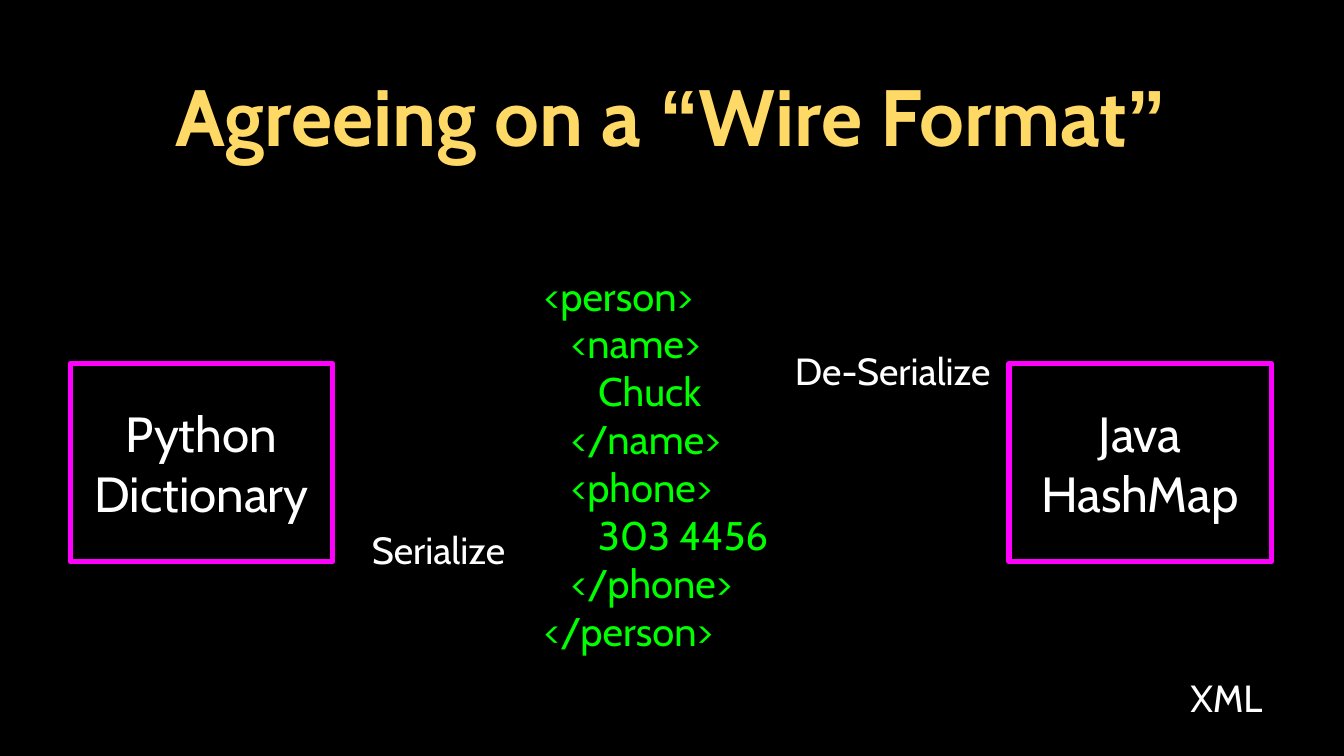
"""Build the wire format slide: a Python dictionary and a Java HashMap exchanging XML."""
from pptx import Presentation
from pptx.dml.color import RGBColor
from pptx.enum.shapes import MSO_SHAPE as SHAPE
from pptx.enum.text import MSO_ANCHOR as ANCHOR, PP_ALIGN as ALIGN
from pptx.util import Inches, Pt

BLACK = RGBColor(0x00, 0x00, 0x00)
WHITE = RGBColor(0xFF, 0xFF, 0xFF)
GOLD = RGBColor(0xFF, 0xD9, 0x66)
GREEN = RGBColor(0x00, 0xFF, 0x00)
MAGENTA = RGBColor(0xFF, 0x00, 0xFF)

prs = Presentation()
prs.slide_width, prs.slide_height = Inches(17.78), Inches(10)
COL, ROW = prs.slide_width / 100, prs.slide_height / 100
s = prs.slides.add_slide(prs.slide_layouts[6])
s.background.fill.solid()
s.background.fill.fore_color.rgb = BLACK


def place(x, y, w, h):
    return [round(v) for v in (x * COL, y * ROW, w * COL, h * ROW)]


def write(sp, lines, size, color=WHITE, align=ALIGN.CENTER, inset=0, bold=False):
    tf = sp.text_frame
    tf.word_wrap = True
    tf.vertical_anchor = ANCHOR.MIDDLE
    tf.margin_left = tf.margin_right = tf.margin_top = tf.margin_bottom = Inches(inset)
    for i, runs in enumerate(lines):
        p = tf.add_paragraph() if i else tf.paragraphs[0]
        p.alignment = align
        for text, font in runs:
            r = p.add_run()
            r.text = text
            r.font.name, r.font.size, r.font.bold = font, Pt(size), bold
            r.font.color.rgb = color


title = [("Agreeing on a ", "Cabin"), ("“", "Arial"), ("Wire Format", "Cabin"), ("”", "Arial")]
sp = s.shapes.add_textbox(*place(7.09, 2.6, 85.71, 25.1))
write(sp, [title], 76, GOLD, inset=0.04, bold=True)

for x, words in ((5.23, ("Python", "Dictionary")), (75.08, ("Java", "HashMap"))):
    sp = s.shapes.add_shape(SHAPE.RECTANGLE, *place(x, 48.1, 19.52, 26.2))
    sp.shadow.inherit = False
    sp.fill.background()
    sp.line.color.rgb = MAGENTA
    sp.line.width = Pt(5)
    write(sp, [[(word, "Cabin")] for word in words], 47)

xml = """<person>
   <name>
      Chuck
   </name>
   <phone>
      303 4456
   </phone>
</person>"""
sp = s.shapes.add_textbox(*place(40.49, 32.3, 18.84, 57.8))
write(sp, [[(line, "Cabin")] for line in xml.splitlines()], 38, GREEN, ALIGN.LEFT)

labels = (
    ("Serialize", 27.62, 69.3, 10.01),
    ("De-Serialize", 58.49, 45.6, 15.86),
    ("XML", 88.13, 88.9, 6.24),
)
for text, x, y, w in labels:
    sp = s.shapes.add_textbox(*place(x, y, w, 6.8))
    write(sp, [[(text, "Cabin")]], 36)

prs.save("out.pptx")
